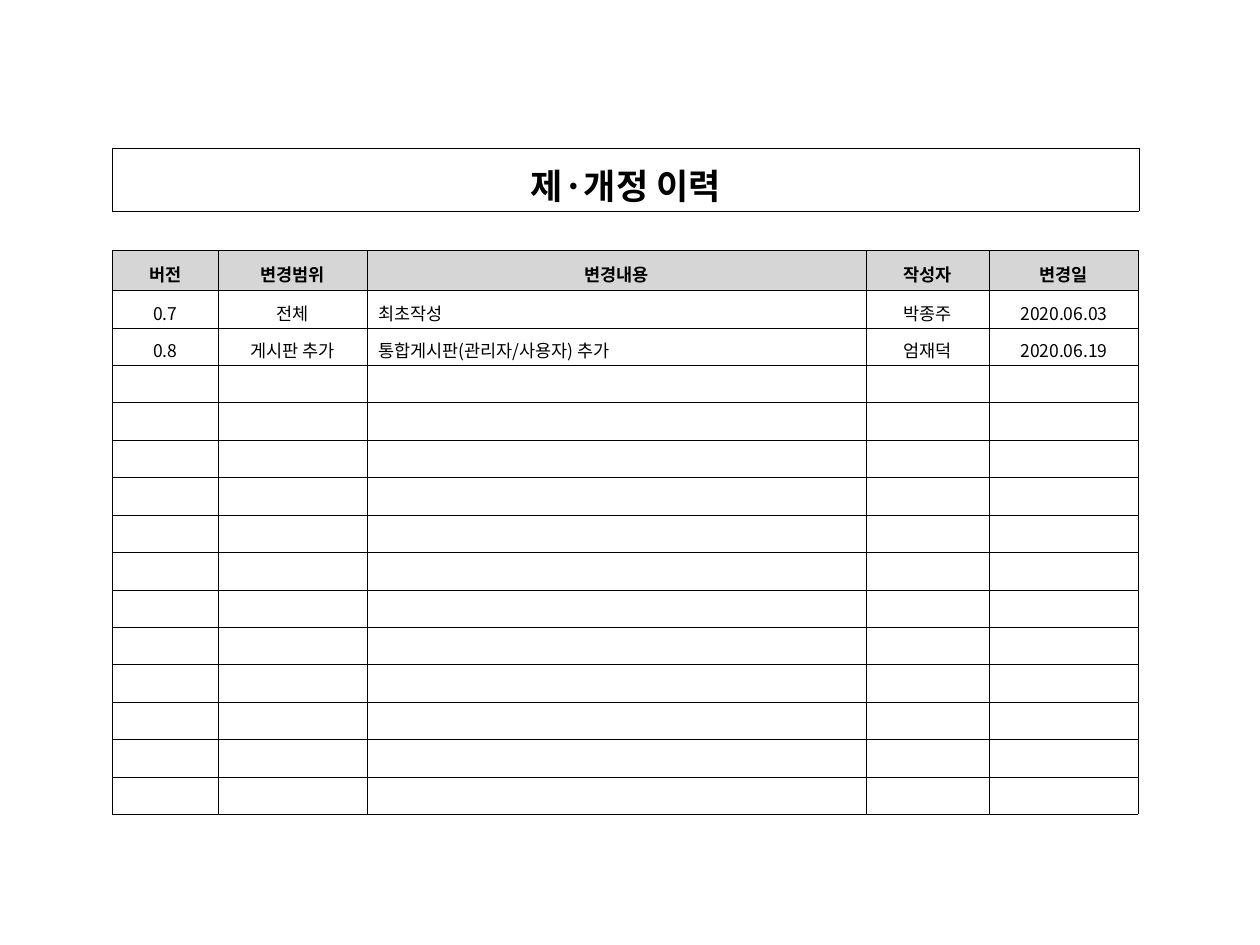
import dataclasses

import pptx
import pptx.dml.color
import pptx.enum.text
import pptx.oxml
import pptx.oxml.ns
import pptx.util

Pt = pptx.util.Pt
ALIGN = pptx.enum.text.PP_ALIGN


@dataclasses.dataclass(frozen=True)
class Theme:
    font: str = "Noto Sans CJK KR"
    ink: str = "000000"
    header_fill: str = "D6D6D6"
    title_size: float = 20
    body_size: float = 10
    border: float = 0.28
    inset: float = 0.7
    gap: float = 2.8


@dataclasses.dataclass(frozen=True)
class Box:
    left: float
    top: float
    width: float
    height: float


THEME = Theme()
HEADERS = ["버전", "변경범위", "변경내용", "작성자", "변경일"]
REVISIONS = [
    ["0.7", "전체", "최초작성", "박종주", "2020.06.03"],
    ["0.8", "게시판 추가", "통합게시판(관리자/사용자) 추가", "엄재덕", "2020.06.19"],
]
COLUMN_WIDTHS = [60.6, 85, 285.2, 70.5, 85]
ROW_COUNT = 15
HEADER_HEIGHT = 23
DETAIL_COLUMN = 2


def draw_borders(cell):
    properties = cell._tc.get_or_add_tcPr()
    namespace = pptx.oxml.ns.nsdecls("a")
    for position, side in enumerate(("lnL", "lnR", "lnT", "lnB")):
        line = pptx.oxml.parse_xml(
            f'<a:{side} {namespace} w="{Pt(THEME.border)}"><a:solidFill>'
            f'<a:srgbClr val="{THEME.ink}"/></a:solidFill></a:{side}>'
        )
        properties.insert(position, line)


def fill_cell(cell, text, size, bold=False, align=ALIGN.CENTER, indent=5.75, spacing=1.3, fill=None):
    cell.margin_left = cell.margin_right = Pt(THEME.inset)
    cell.margin_top = cell.margin_bottom = Pt(THEME.inset)
    cell.vertical_anchor = pptx.enum.text.MSO_ANCHOR.MIDDLE
    if fill:
        cell.fill.solid()
        cell.fill.fore_color.rgb = pptx.dml.color.RGBColor.from_string(fill)
    else:
        cell.fill.background()
    draw_borders(cell)
    para = cell.text_frame.paragraphs[0]
    font = para.font
    font.size = Pt(size)
    font.bold = bold
    font.name = THEME.font
    font.color.rgb = pptx.dml.color.RGBColor.from_string(THEME.ink)
    east_asian = pptx.oxml.parse_xml(
        f'<a:ea {pptx.oxml.ns.nsdecls("a")} typeface="{THEME.font}"/>'
    )
    font._element.find(pptx.oxml.ns.qn("a:latin")).addnext(east_asian)
    if text:
        para.text = text
        para.alignment = align
        para.line_spacing = spacing
        para.space_before = para.space_after = Pt(THEME.gap)
        for side in ("marL", "marR"):
            para._p.get_or_add_pPr().set(side, str(Pt(indent)))


def add_plain_table(page, box, rows, columns):
    table = page.shapes.add_table(
        rows, columns, Pt(box.left), Pt(box.top), Pt(box.width), Pt(box.height)
    ).table
    table.first_row = False
    table.horz_banding = False
    return table


def add_title(page, box):
    table = add_plain_table(page, box, 1, 1)
    fill_cell(table.cell(0, 0), "제·개정 이력", THEME.title_size, bold=True, indent=10, spacing=1.2)


def add_history(page, box):
    table = add_plain_table(page, box, ROW_COUNT, len(HEADERS))
    for column, width in zip(table.columns, COLUMN_WIDTHS):
        column.width = Pt(width)
    row_height = (box.height - HEADER_HEIGHT) / (ROW_COUNT - 1)
    blank_rows = [[""] * len(HEADERS)] * (ROW_COUNT - 1 - len(REVISIONS))
    for row, values in enumerate([HEADERS] + REVISIONS + blank_rows):
        is_header = row == 0
        table.rows[row].height = Pt(HEADER_HEIGHT if is_header else row_height)
        for column, text in enumerate(values):
            is_detail = column == DETAIL_COLUMN and not is_header
            fill_cell(
                table.cell(row, column),
                text,
                THEME.body_size,
                bold=is_header,
                align=ALIGN.JUSTIFY if is_detail else ALIGN.CENTER,
                fill=THEME.header_fill if is_header else None,
            )


def main():
    deck = pptx.Presentation()
    deck.slide_width, deck.slide_height = Pt(720), Pt(540)
    page = deck.slides.add_slide(deck.slide_layouts[6])
    add_title(page, Box(64.2, 84.5, 586.8, 31))
    add_history(page, Box(64.2, 143, 586.3, 322.5))
    deck.save("out.pptx")


if __name__ == "__main__":
    main()
